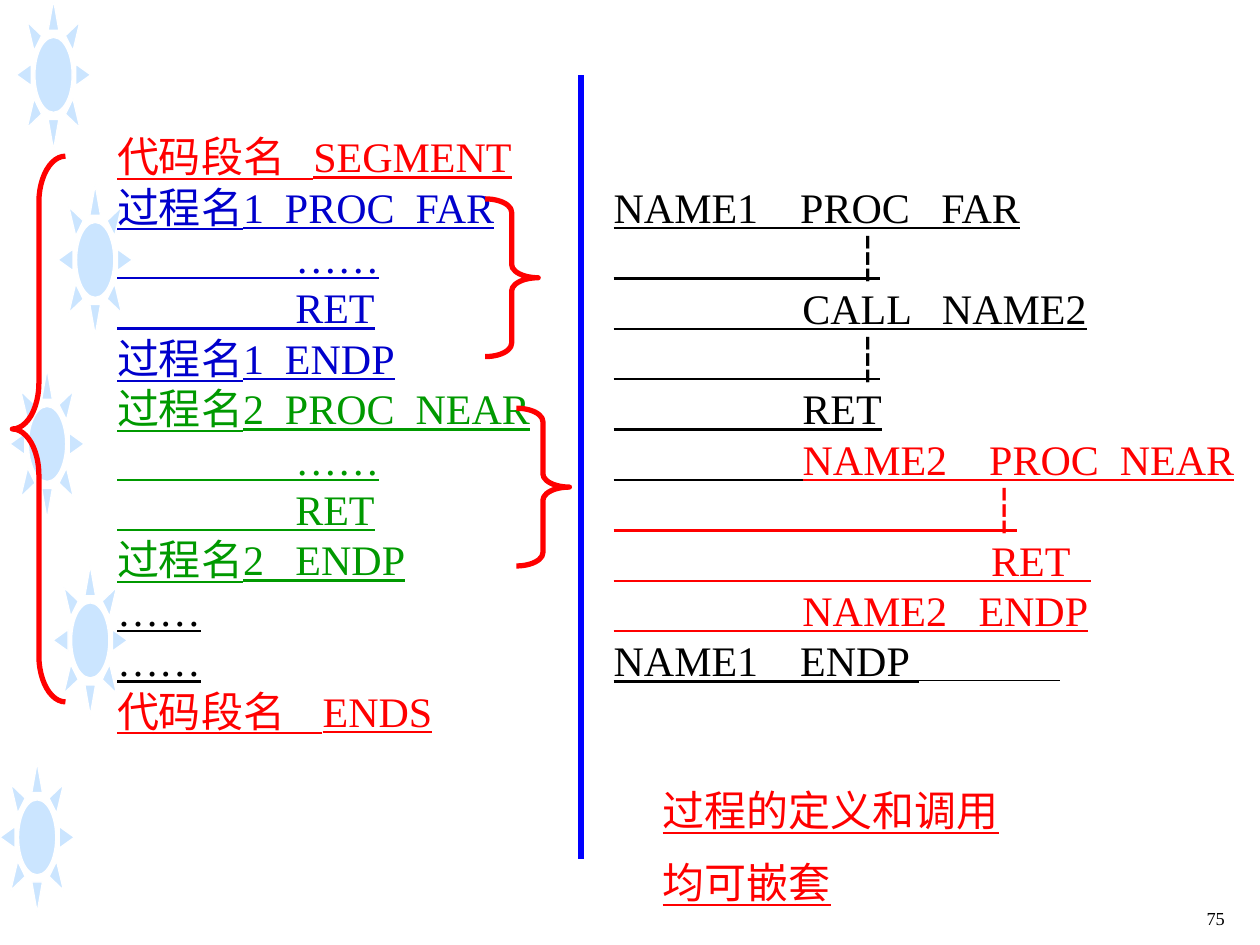
from lxml import etree
from pptx import Presentation
from pptx.dml.color import RGBColor
from pptx.enum.shapes import MSO_CONNECTOR, MSO_SHAPE
from pptx.enum.text import MSO_AUTO_SIZE, PP_ALIGN
from pptx.oxml.ns import qn
from pptx.util import Cm, Pt

SUN, LEFT_BRACE, RIGHT_BRACE = MSO_SHAPE.SUN, MSO_SHAPE.LEFT_BRACE, MSO_SHAPE.RIGHT_BRACE
STRAIGHT = MSO_CONNECTOR.STRAIGHT
FIT_TEXT = MSO_AUTO_SIZE.SHAPE_TO_FIT_TEXT
RIGHT = PP_ALIGN.RIGHT

RED, BLUE, GREEN, BLACK = "FF0000", "0000CC", "009900", "000000"
CODE_FORMAT = {"name": "Times New Roman", "size": Pt(24), "underline": True}
SMALL_FORMAT = {**CODE_FORMAT, "size": Pt(18)}
NUMBER_FORMAT = {"name": "Times New Roman", "size": Pt(10.5)}


def color(hex_string):
    return RGBColor.from_string(hex_string)


def add_text(place, lines):
    """Each line is a list of (text, colour, format) runs."""
    box = slide.shapes.add_textbox(*map(Cm, place))
    frame = box.text_frame
    frame.word_wrap = True
    frame.auto_size = FIT_TEXT
    for index, runs in enumerate(lines):
        para = frame.add_paragraph() if index else frame.paragraphs[0]
        for text, hex_string, values in runs:
            span = para.add_run()
            span.text = text
            span.font.color.rgb = color(hex_string)
            for name, value in values.items():
                setattr(span.font, name, value)
    return frame


deck = Presentation()
deck.slide_width, deck.slide_height = Cm(25.4), Cm(19.05)
slide = deck.slides.add_slide(deck.slide_layouts[6])

# Half-transparent suns down the left edge
for left, top in [(0.33, 0), (1.17, 3.73), (0.2, 7.44), (1.07, 11.4), (0, 15.37)]:
    sun = slide.shapes.add_shape(SUN, Cm(left), Cm(top), Cm(1.5), Cm(3.02))
    sun.shadow.inherit = False
    sun.fill.solid()
    sun.fill.fore_color.rgb = color("99CCFF")
    sun_color = sun.fill._xPr.find(qn("a:solidFill"))[0]
    etree.SubElement(sun_color, qn("a:alpha"), val="50000")
    sun.line.color.rgb = color("FFFFFF")
    sun.line.width = Pt(0.75)

# Page number
number = add_text((19.66, 18.16, 5.28, 0.84), [[("75", BLACK, NUMBER_FORMAT)]])
number.paragraphs[0].alignment = RIGHT

# Code segment layout
segment_lines = [
    ("代码段名   SEGMENT", RED),
    ("过程名1  PROC  FAR", BLUE),
    ("                 ……", BLUE),
    ("                 RET", BLUE),
    ("过程名1  ENDP", BLUE),
    ("过程名2  PROC  NEAR", GREEN),
    ("                 ……", GREEN),
    ("                 RET", GREEN),
    ("过程名2   ENDP", GREEN),
    ("……", BLACK),
    ("……", BLACK),
    ("代码段名    ENDS", RED),
]
add_text((2.11, 2.51, 12.7, 12.42),
         [[(text, tone, CODE_FORMAT)] for text, tone in segment_lines])

# Braces around the two procedures and the whole segment
for kind, left, top, height, curve in [
    (RIGHT_BRACE, 9.78, 4.01, 3.18, 0.25),
    (RIGHT_BRACE, 10.41, 8.23, 3.18, 0.25),
    (LEFT_BRACE, 0.25, 3.15, 11, 0.87),
]:
    brace = slide.shapes.add_shape(kind, Cm(left), Cm(top), Cm(1.07), Cm(height))
    brace.shadow.inherit = False
    brace.adjustments[0] = curve
    brace.fill.background()
    brace.line.color.rgb = color(RED)
    brace.line.width = Pt(3)

# Nested procedure example
nested_lines = [
    [("NAME1    PROC   FAR", BLACK)],
    [("                       ┆", BLACK)],
    [("                  CALL   NAME2", BLACK)],
    [("                       ┆", BLACK)],
    [("                  RET", BLACK)],
    [("                  ", BLACK), ("NAME2    PROC  NEAR", RED)],
    [("                                    ┆", RED)],
    [("                                    RET  ", RED)],
    [("                  NAME2   ENDP", RED)],
    [("NAME1    ENDP ", BLACK)],
]
nested_runs = [[(text, tone, CODE_FORMAT) for text, tone in runs] for runs in nested_lines]
nested_runs[-1].append(("                  ", BLACK, SMALL_FORMAT))
add_text((12.12, 3.53, 13.82, 10.52), nested_runs)

# Divider between the two listings
divider = slide.shapes.add_connector(STRAIGHT, Cm(11.71), Cm(1.52), Cm(11.71), Cm(17.32))
divider.line.color.rgb = color("0000FF")
divider.line.width = Pt(3)
etree.SubElement(divider._element.spPr, qn("a:effectLst"))

# Closing remark
remark = add_text((13.11, 15.7, 8.2, 2.79),
                  [[(text, RED, CODE_FORMAT)] for text in ("过程的定义和调用", "均可嵌套")])
remark.paragraphs[1].space_before = Pt(12)

deck.save("out.pptx")
